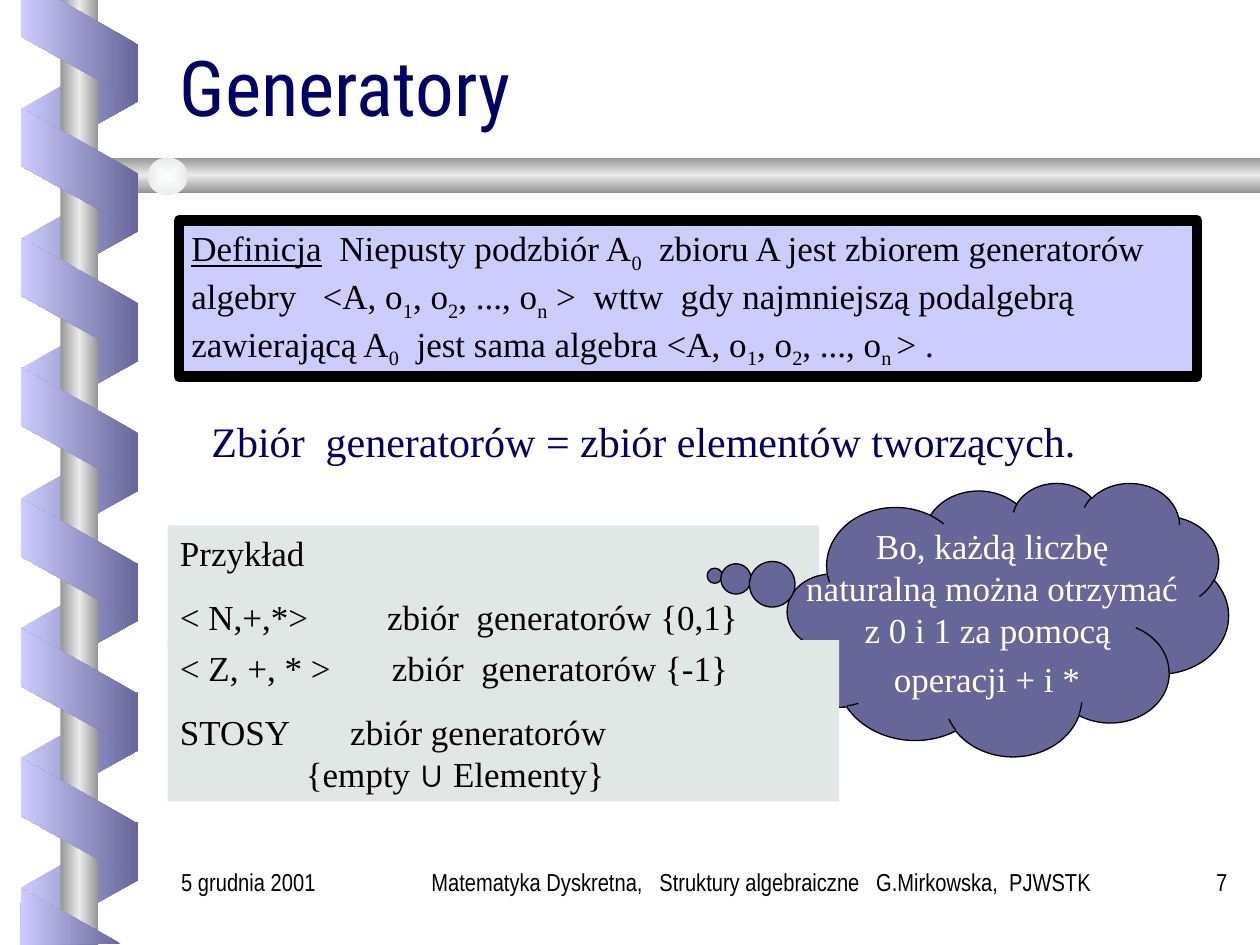
from dataclasses import dataclass
from typing import Optional

from lxml import etree
from pptx import Presentation
from pptx import util as u
from pptx.dml.color import RGBColor
from pptx.enum import shapes, text
from pptx.oxml import ns

PX = 9144
BLACK = RGBColor(0x00, 0x00, 0x00)
WHITE = RGBColor(0xFF, 0xFF, 0xFF)
NAVY = RGBColor(0x00, 0x00, 0x66)
LAVENDER = RGBColor(0xCC, 0xCC, 0xFF)
VIOLET = RGBColor(0x66, 0x66, 0x99)
PALE_GREEN = RGBColor(0xE1, 0xE7, 0xE4)
STEEL = RGBColor(0x96, 0x96, 0x96)
SILVER = RGBColor(0xEA, 0xEA, 0xEA)
PEARL = RGBColor(0xFE, 0xFF, 0xFF)
SERIF = "Times New Roman"
NARROW = "Arial Narrow"
LEFT, CENTER, RIGHT = text.PP_ALIGN.LEFT, text.PP_ALIGN.CENTER, text.PP_ALIGN.RIGHT
TOP, MIDDLE, BOTTOM = text.MSO_ANCHOR.TOP, text.MSO_ANCHOR.MIDDLE, text.MSO_ANCHOR.BOTTOM
Box = tuple[int, int, int, int]


@dataclass(frozen=True)
class Run:
    words: str
    subscript: bool = False
    underline: bool = False
    font: Optional[str] = None
    size: Optional[int] = None


@dataclass(frozen=True)
class Style:
    size: int = 20
    font: str = SERIF
    color: RGBColor = BLACK
    align: text.PP_ALIGN = LEFT
    anchor: text.MSO_ANCHOR = TOP
    wrap: bool = True
    line_spacing: float = 1.0


@dataclass(frozen=True)
class Label:
    box: Box
    words: str
    style: Style


def emu(box: Box) -> list[int]:
    return [length * PX for length in box]


def write(shape, paragraphs: list[list[Run]], style: Style) -> None:
    frame = shape.text_frame
    frame.word_wrap = style.wrap
    frame.vertical_anchor = style.anchor
    for index, runs in enumerate(paragraphs):
        paragraph = frame.add_paragraph() if index else frame.paragraphs[0]
        paragraph.alignment = style.align
        paragraph.line_spacing = style.line_spacing
        paragraph.space_before = u.Pt(12.5 if index else 0)
        paragraph.font.size = u.Pt(style.size)
        paragraph.font.name = style.font
        paragraph.font.color.rgb = style.color
        for item in runs:
            for number, line in enumerate(item.words.split("\n")):
                if number:
                    paragraph.add_line_break()
                run = paragraph.add_run()
                run.text = line
                if item.underline:
                    run.font.underline = True
                if item.font:
                    run.font.name = item.font
                if item.size:
                    run.font.size = u.Pt(item.size)
                if item.subscript:
                    run.font._element.set("baseline", "-25000")


def add_label(slide, label: Label) -> None:
    shape = slide.shapes.add_textbox(*emu(label.box))
    write(shape, [[Run(label.words)]], label.style)


def add_shape(slide, kind: shapes.MSO_SHAPE, box: Box, fill: Optional[RGBColor] = None,
              line_width: float = 0):
    shape = slide.shapes.add_shape(kind, *emu(box))
    shape.shadow.inherit = False
    if fill is not None:
        shape.fill.solid()
        shape.fill.fore_color.rgb = fill
    if line_width:
        shape.line.color.rgb = BLACK
        shape.line.width = u.Pt(line_width)
    else:
        shape.line.fill.background()
    return shape


def paint_gradient(shape, colors: list[RGBColor], angle: Optional[int]) -> None:
    shape.fill.gradient()
    gradient = shape._element.spPr.find(ns.qn("a:gradFill"))
    gradient.set("rotWithShape", "0")
    for child in list(gradient):
        gradient.remove(child)
    stops = etree.SubElement(gradient, ns.qn("a:gsLst"))
    for index, color in enumerate(colors):
        position = 100000 * index // (len(colors) - 1)
        stop = etree.SubElement(stops, ns.qn("a:gs"), pos=str(position))
        etree.SubElement(stop, ns.qn("a:srgbClr"), val=str(color))
    if angle is None:
        center = etree.SubElement(gradient, ns.qn("a:path"), path="rect")
        etree.SubElement(center, ns.qn("a:fillToRect"), l="50000", t="50000", r="50000", b="50000")
    else:
        etree.SubElement(gradient, ns.qn("a:lin"), ang=str(angle * 60000), scaled="0")


def add_ribbon(slide, top: int, front: bool) -> None:
    shape = add_shape(slide, shapes.MSO_SHAPE.PARALLELOGRAM, (14, top, 98, 93))
    shape.adjustments[0] = 0.56
    shape.rotation = 270 if front else 90
    if not front:
        shape._element.spPr.xfrm.set("flipH", "1")
    paint_gradient(shape, [VIOLET, LAVENDER] if front else [LAVENDER, VIOLET], 180)


def add_outline(slide, points: list[tuple[int, int]], colors: list[RGBColor], angle: int) -> None:
    builder = slide.shapes.build_freeform(*points[0], scale=PX)
    builder.add_line_segments(points[1:], close=True)
    shape = builder.convert_to_shape()
    shape.shadow.inherit = False
    shape.line.fill.background()
    paint_gradient(shape, colors, angle)


def add_spiral_binding(slide) -> None:
    metal = [STEEL, SILVER, STEEL]
    for index in range(7):
        add_ribbon(slide, 37 + 103 * index, front=False)
    rod = add_shape(slide, shapes.MSO_SHAPE.RECTANGLE, (48, 0, 30, 750))
    paint_gradient(rod, metal, 180)
    add_outline(slide, [(1000, 125), (76, 125), (60, 139), (76, 153), (1000, 153)], metal, 90)
    bead = add_shape(slide, shapes.MSO_SHAPE.OVAL, (117, 125, 32, 30))
    paint_gradient(bead, [PEARL, SILVER], None)
    for index in range(6):
        add_ribbon(slide, 88 + round(103.2 * index), front=True)
    ribbon = [VIOLET, LAVENDER]
    add_outline(slide, [(17, 0), (17, 29), (109, 81), (109, 35), (47, 0)], ribbon, 180)
    add_outline(slide, [(96, 749), (17, 705), (16, 750)], ribbon, 180)


def with_subscripts(words: str) -> list[Run]:
    return [Run(part, subscript=index % 2 == 1) for index, part in enumerate(words.split("|"))]


DEFINITION = [Run("Definicja", underline=True)] + with_subscripts(
    "  Niepusty podzbiór A|0|  zbioru A jest zbiorem generatorów  algebry   "
    "<A, o|1|, o|2|, ..., o|n| >  wttw  gdy najmniejszą podalgebrą zawierającą A|0|"
    "  jest sama algebra <A, o|1|, o|2|, ..., o|n |> ."
)
NUMBER_EXAMPLES = [[Run("Przykład")], [Run("< N,+,*>         zbiór  generatorów {0,1}")]]
STACK_EXAMPLES = [
    [Run("< Z, +, * >       zbiór  generatorów {-1}")],
    [Run("STOSY       zbiór generatorów \n\t\t{empty "), Run("∪", font="Arial"), Run(" Elementy}")],
]
REASON = [[
    Run("Bo, każdą liczbę\n naturalną można otrzymać \nz 0 i 1 za pomocą \noperacji + i *"),
    Run(" ", size=24),
]]
HEADINGS = [
    Label((133, 46, 850, 63), "Generatory",
          Style(44, "Roboto Condensed", NAVY, anchor=BOTTOM, line_spacing=0.8)),
    Label((158, 325, 742, 57), "Zbiór  generatorów = zbiór elementów tworzących.",
          Style(24, color=NAVY, wrap=False)),
]
FOOTERS = [
    Label((317, 683, 575, 50),
          "Matematyka Dyskretna,   Struktury algebraiczne   G.Mirkowska,  PJWSTK",
          Style(14, NARROW, align=CENTER)),
    Label((900, 683, 84, 50), "7", Style(14, NARROW, align=RIGHT)),
    Label((134, 683, 174, 50), "5 grudnia 2001", Style(14, NARROW)),
]


def main() -> None:
    presentation = Presentation()
    presentation.slide_width, presentation.slide_height = 1000 * PX, 750 * PX
    slide = presentation.slides.add_slide(presentation.slide_layouts[6])
    rectangle = shapes.MSO_SHAPE.RECTANGLE
    add_spiral_binding(slide)
    for label in HEADINGS:
        add_label(slide, label)
    definition = add_shape(slide, rectangle, (142, 175, 808, 124), LAVENDER, 6)
    write(definition, [DEFINITION], Style())
    numbers = add_shape(slide, rectangle, (133, 417, 517, 94), PALE_GREEN)
    write(numbers, NUMBER_EXAMPLES, Style())
    cloud = add_shape(slide, shapes.MSO_SHAPE.CLOUD_CALLOUT, (625, 383, 350, 217), VIOLET, 0.75)
    cloud.adjustments[0], cloud.adjustments[1] = -0.665, -0.159
    write(cloud, REASON, Style(color=WHITE, align=CENTER, anchor=MIDDLE, wrap=False))
    stacks = add_shape(slide, rectangle, (133, 508, 533, 128), PALE_GREEN)
    write(stacks, STACK_EXAMPLES, Style())
    for label in FOOTERS:
        add_label(slide, label)
    presentation.save("out.pptx")


if __name__ == "__main__":
    main()
